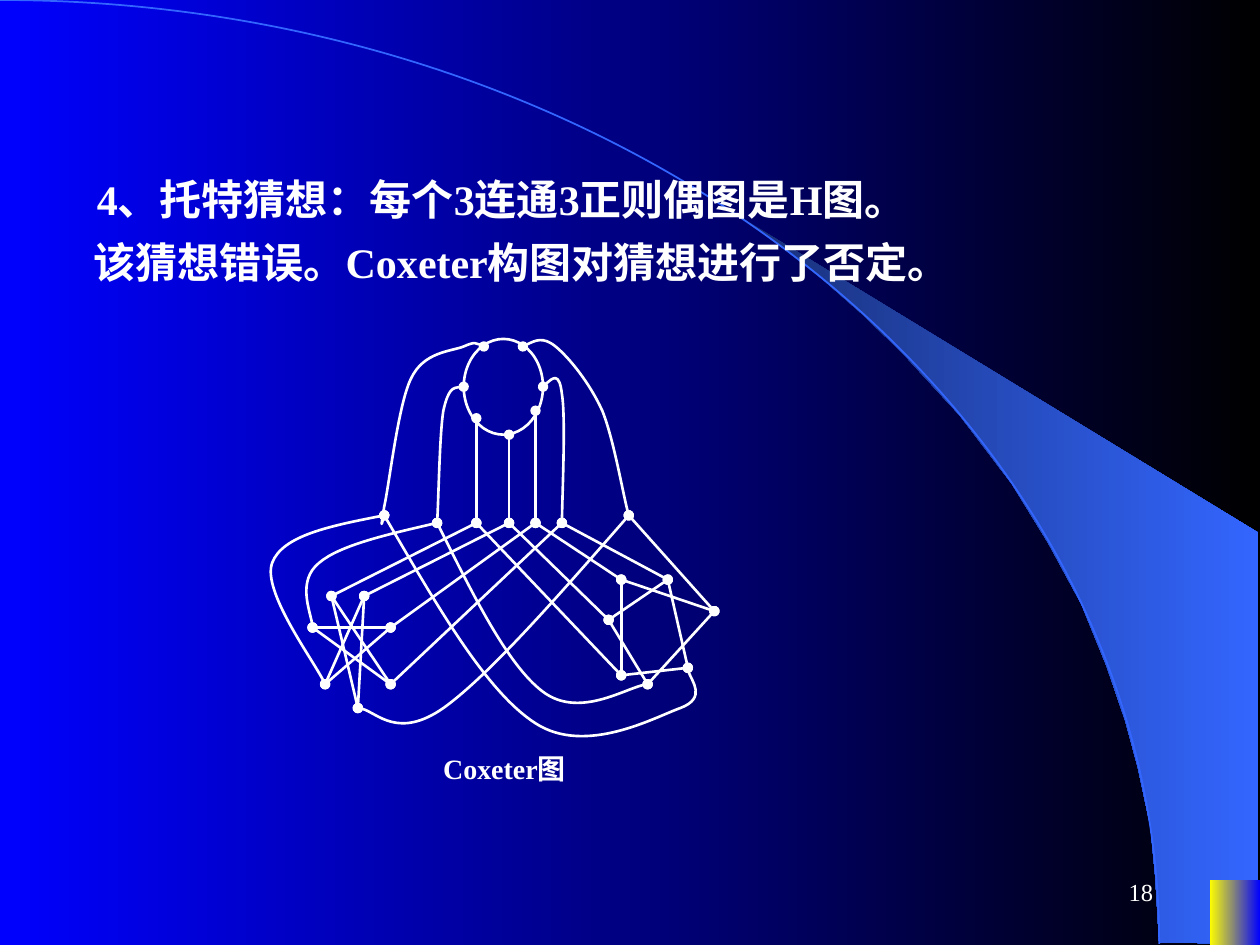
"""Build the slide on Tutte's conjecture and the Coxeter graph."""
import pptx
import pptx.dml.color
import pptx.enum.shapes
import pptx.enum.text
import pptx.oxml.ns
import pptx.oxml.xmlchemy
import pptx.util
from lxml import etree

Pt = pptx.util.Pt
qn = pptx.oxml.ns.qn
ALIGN = pptx.enum.text.PP_ALIGN
SHAPES = pptx.enum.shapes.MSO_SHAPE

RING = {
    "top_left": (276.5, 198), "top_right": (298.8, 198),
    "left": (265, 221), "right": (310.3, 221),
    "low_left": (272.2, 239), "bottom": (290.9, 248.4), "low_right": (306, 234.7),
}
ROW = {
    "row1": (219.6, 294.5), "row2": (249.8, 298.8), "row3": (272.2, 298.8),
    "row4": (290.9, 298.8), "row5": (306, 298.8), "row6": (321.1, 298.8),
    "row7": (359.3, 294.5),
}
STAR = {
    "star1": (189.4, 340.6), "star2": (208.1, 340.6), "star3": (178.6, 358.6),
    "star4": (223.2, 358.6), "star5": (185.8, 391), "star6": (223.2, 391),
    "star7": (204.5, 404.6),
}
WEB = {
    "web1": (355, 331.2), "web2": (381.6, 331.2), "web3": (408.2, 349.2),
    "web4": (347.8, 354.2), "web5": (393.1, 381.6), "web6": (355, 385.9),
    "web7": (370.1, 391),
}
VERTICES = {**RING, **ROW, **STAR, **WEB}

STRAIGHT_EDGES = """
bottom-row4 low_left-row3 low_right-row5
star2-star5 star2-star7 star1-star6 star1-star7 star3-star4 star4-star5 star3-star6
web4-web2 web2-web5 web4-web7 web1-web6 web1-web3 web6-web5 web3-web7
row3-star1 row4-star2 row5-star4 row6-star6
row5-web1 row6-web2 row7-web3 row4-web4 row3-web6
""".split()

CURVED_EDGES = [
    ("top_left", "row1", [(273.6, 196.6), (271.4, 195.1), (265, 198), (257.8, 200.9),
                          (241.9, 200.9), (234.7, 216.7), (227.5, 231.8), (222.5, 276.5),
                          (219.6, 289.4), (217.4, 303.1), (218.2, 298.8)]),
    ("top_right", "row7", [(304.6, 195.1), (310.3, 192.2), (317.5, 198), (325.4, 204.5),
                           (337, 218.9), (344.2, 234.7), (350.6, 250.6), (356.4, 284.4)]),
    ("left", "row2", [(260.6, 221), (256.3, 221.8), (253.4, 234.7), (251.3, 247.7),
                      (250.6, 288)]),
    ("right", "row6", [(314.6, 216.7), (319.7, 212.4), (321.1, 225.4), (323.3, 238.3),
                       (321.1, 286.6)]),
    ("row7", "star7", [(319, 340.6), (279.4, 385.9), (253.4, 404.6), (227.5, 422.6),
                       (213.1, 404.6)]),
    ("row2", "star3", [(221.8, 305.3), (193.7, 311.8), (182.2, 321.8), (169.9, 331.9),
                       (178.6, 352.8)]),
    ("row1", "star5", [(190.8, 300.2), (161.3, 306), (155.5, 321.8), (149.8, 337.7),
                       (180.7, 379.4)]),
    ("row2", "web7", [(270, 339.1), (290.2, 380.2), (310.3, 395.3), (330.5, 410.4),
                      (360, 391.7)]),
    ("row1", "web5", [(249.1, 344.9), (277.9, 395.3), (306, 413.3), (334.8, 432),
                      (374.4, 409.7), (388.8, 404.6), (403.9, 398.9), (392.4, 385.2)]),
]

WEDGE = [(662.4, 538.6), (719.3, 539.3), (719.3, 304.6), (424.1, 124.6), (449.3, 143.3),
         (470.2, 159.8), (493.2, 180), (515.5, 201.6), (548.6, 237.6), (578.2, 276.5),
         (599, 310.3), (617.8, 344.9), (632.2, 380.2), (643, 411.8), (650.2, 438.5),
         (657.4, 472.3), (660.2, 501.1)]


def color(value):
    """Return the colour of a hex string."""
    return pptx.dml.color.RGBColor.from_string(value)


class Painter:
    """Holds the style and the current slide."""

    font = "Times New Roman"
    ink = "FFFFFF"
    accent = "3366FF"
    weight = 1.5

    def __init__(self, page):
        """Keep the slide to draw on."""
        self.page = page

    def gradient(self, fill, first, last):
        """Fill from left to right with two colours."""
        fill.gradient()
        fill.gradient_angle = 0
        for stop, value in zip(fill.gradient_stops, (first, last)):
            stop.color.rgb = color(value)

    def stroke(self, shape, value, weight):
        """Set the line colour and width."""
        shape.line.color.rgb = color(value)
        shape.line.width = Pt(weight)

    def dot_ends(self, shape):
        """Put a round dot at both ends of an edge."""
        line = shape._element.spPr.find(qn("a:ln"))
        for end in ("a:headEnd", "a:tailEnd"):
            etree.SubElement(line, qn(end), type="oval")

    def outline(self, points, close):
        """Draw a freeform through the points, without shadow."""
        (left, top), *rest = [(Pt(x), Pt(y)) for x, y in points]
        builder = self.page.shapes.build_freeform(left, top)
        builder.add_line_segments(rest, close=close)
        shape = builder.convert_to_shape()
        shape.shadow.inherit = False
        return shape

    def polygon(self, points, first, last):
        """Draw a closed outline with a gradient and no line."""
        shape = self.outline(points, True)
        self.gradient(shape.fill, first, last)
        shape.line.fill.background()

    def curve(self, points, value, weight):
        """Draw Bezier segments, three points each after the start."""
        shape = self.outline(points, False)
        shape.fill.background()
        self.stroke(shape, value, weight)
        track = shape._element.spPr.find(".//" + qn("a:path"))
        steps = track.findall(qn("a:lnTo"))
        for start in range(0, len(steps), 3):
            bend = etree.SubElement(track, qn("a:cubicBezTo"))
            for step in steps[start:start + 3]:
                bend.append(step[0])
                track.remove(step)
        return shape

    def straight_edge(self, first, last):
        """Join two vertices with a straight line."""
        ends = [Pt(value) for value in (*first, *last)]
        kind = pptx.enum.shapes.MSO_CONNECTOR.STRAIGHT
        edge = self.page.shapes.add_connector(kind, *ends)
        self.stroke(edge, self.ink, self.weight)
        self.dot_ends(edge)
        etree.SubElement(edge._element.spPr, qn("a:effectLst"))

    def curved_edge(self, first, last, controls):
        """Join two vertices with a curve."""
        edge = self.curve([first, *controls, last], self.ink, self.weight)
        self.dot_ends(edge)

    def preset(self, kind, left, top, width, height):
        """Add a preset shape without shadow."""
        place = [Pt(value) for value in (left, top, width, height)]
        shape = self.page.shapes.add_shape(kind, *place)
        shape.shadow.inherit = False
        return shape

    def text(self, words, left, top, width, height, size, bold=True,
             indent=0, before=0, align=ALIGN.LEFT, anchor=pptx.enum.text.MSO_ANCHOR.TOP):
        """Add a text box of one paragraph."""
        place = [Pt(value) for value in (left, top, width, height)]
        frame = self.page.shapes.add_textbox(*place).text_frame
        frame.word_wrap = True
        frame.vertical_anchor = anchor
        frame.margin_left = Pt(7.2 + indent)
        para = frame.paragraphs[0]
        para.text = words
        para.alignment = align
        para.space_before = Pt(before)
        para.font.name = self.font
        para.font.size = Pt(size)
        para.font.bold = bold
        para.font.color.rgb = color(self.ink)


def main():
    """Build and save the slide."""
    deck = pptx.Presentation()
    deck.slide_width, deck.slide_height = Pt(720), Pt(540)
    page = deck.slides.add_slide(deck.slide_layouts[6])
    painter = Painter(page)

    painter.gradient(page.background.fill, "0000FF", "000000")
    painter.polygon(WEDGE, "182F76", painter.accent)
    painter.curve([(0, 0), (365.8, 0), (662.4, 241.2), (662.4, 539.3)], painter.accent, 1)
    corner = painter.preset(SHAPES.RECTANGLE, 691.2, 502.6, 28.8, 37.4)
    painter.gradient(corner.fill, "FFFF00", "0000FF")
    corner.line.fill.background()

    painter.text("18", 516.2, 491.8, 149.8, 36, 14, bold=False, align=ALIGN.RIGHT,
                 anchor=pptx.enum.text.MSO_ANCHOR.MIDDLE)
    painter.text("该猜想错误。Coxeter构图对猜想进行了否定。", 23.8, 131.8, 630, 36, 24,
                 indent=22.5, before=15)
    painter.text("4、托特猜想：每个3连通3正则偶图是H图。", 30.2, 95.8, 617.8, 36, 24,
                 indent=18, before=15)

    ring = painter.preset(SHAPES.OVAL, 265, 193.7, 45.3, 54.7)
    ring.fill.background()
    painter.stroke(ring, painter.ink, painter.weight)
    for edge in STRAIGHT_EDGES:
        painter.straight_edge(*(VERTICES[name] for name in edge.split("-")))
    for first, last, controls in CURVED_EDGES:
        painter.curved_edge(VERTICES[first], VERTICES[last], controls)
    painter.text("Coxeter图", 246.2, 426.2, 103, 26.6, 16, align=ALIGN.JUSTIFY)

    deck.save("out.pptx")


if __name__ == "__main__":
    main()
